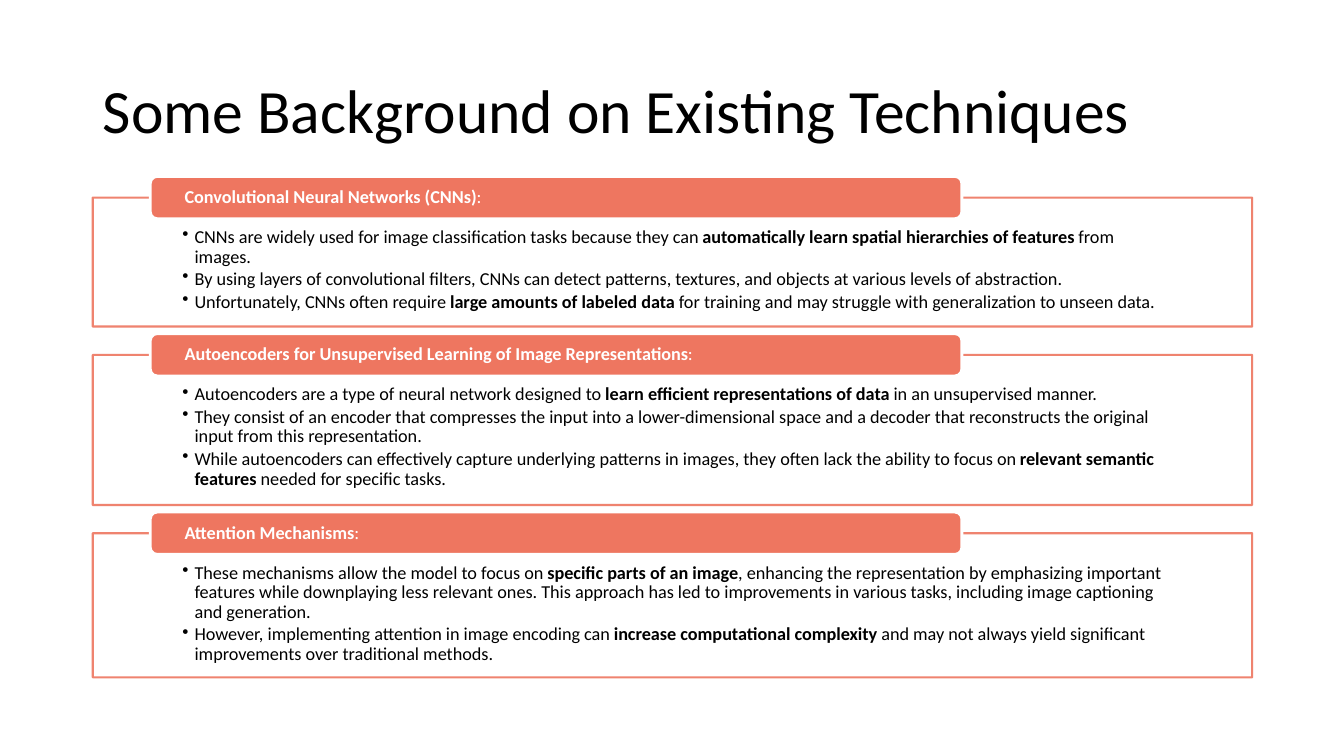
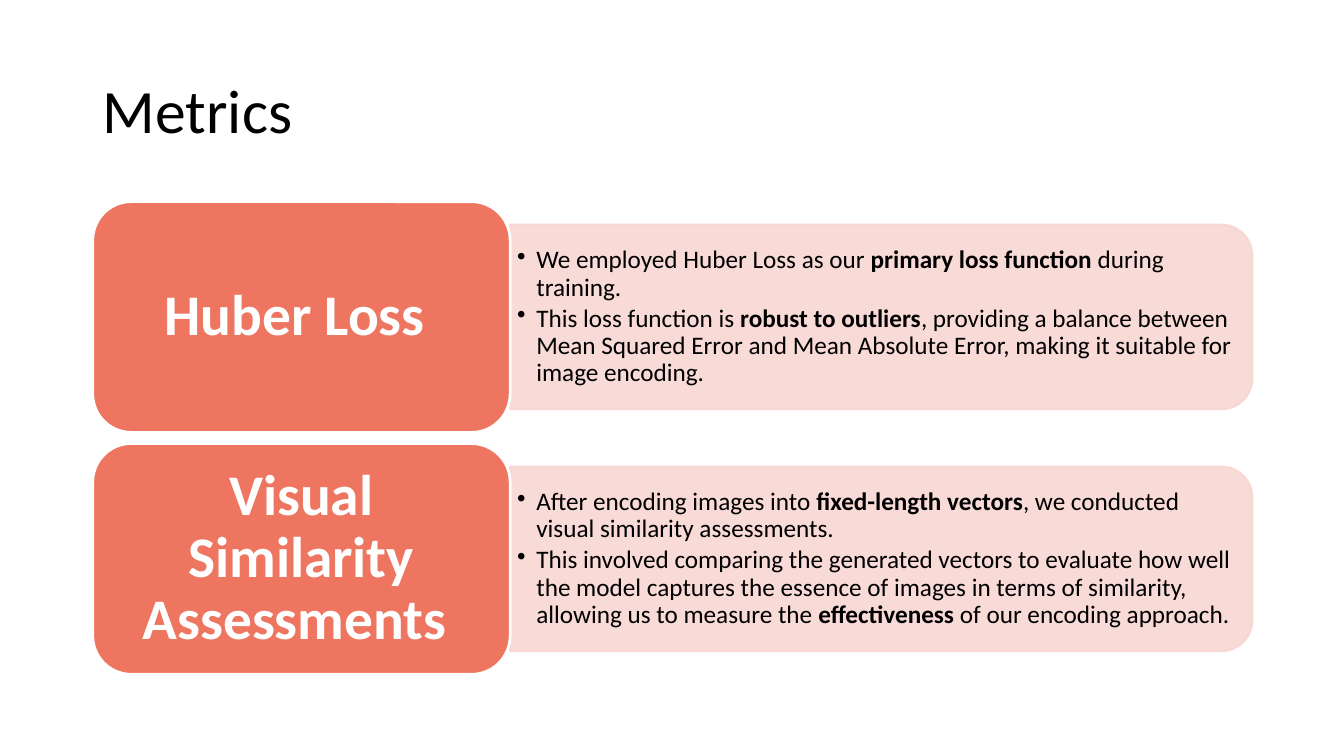
from dataclasses import dataclass

from lxml import etree
from pptx import Presentation
from pptx.dml.color import RGBColor
from pptx.enum.shapes import MSO_SHAPE
from pptx.enum.text import MSO_ANCHOR, MSO_AUTO_SIZE, PP_ALIGN
from pptx.oxml.ns import qn
from pptx.util import Inches, Pt

RECTANGLE = MSO_SHAPE.RECTANGLE
ROUNDED = MSO_SHAPE.ROUNDED_RECTANGLE
ROUND_TOP = MSO_SHAPE.ROUND_2_SAME_RECTANGLE
TOP, MIDDLE = MSO_ANCHOR.TOP, MSO_ANCHOR.MIDDLE
LEFT, CENTER = PP_ALIGN.LEFT, PP_ALIGN.CENTER


@dataclass(frozen=True)
class Theme:
    font: str = "Calibri"
    text: RGBColor = RGBColor(0x00, 0x00, 0x00)
    white: RGBColor = RGBColor(0xFF, 0xFF, 0xFF)
    coral: RGBColor = RGBColor(0xEE, 0x76, 0x60)
    blush: RGBColor = RGBColor(0xF8, 0xD6, 0xD2)
    title_size: int = 44
    metric_size: int = 41
    detail_size: int = 18
    panel_size: int = 13
    panel_line: float = 1.5
    label_line: float = 2
    line_spacing: float = 0.9
    bullet_gap: float = 0.15  # share of the type size
    opacity: int = 90  # percent


THEME = Theme()
MARGIN, CONTENT_WIDTH = 0.92, 11.5

# Content: ** marks bold passages
BACKGROUND_TITLE = "Some Background on Existing Techniques"
TECHNIQUES = [  # heading, panel height, bullets
    ("**Convolutional Neural Networks (CNNs)**:", 1.28, [
        "CNNs are widely used for image classification tasks because they can "
        "**automatically learn spatial hierarchies of features **from images.",
        "By using layers of convolutional filters, CNNs can detect patterns, textures, "
        "and objects at various levels of abstraction.",
        "Unfortunately, CNNs often require **large amounts of labeled data **for training "
        "and may struggle with generalization to unseen data.",
    ]),
    ("**Autoencoders for Unsupervised Learning of Image Representations**:", 1.49, [
        "Autoencoders are a type of neural network designed to "
        "**learn efficient representations of data **in an unsupervised manner.",
        "They consist of an encoder that compresses the input into a lower-dimensional "
        "space and a decoder that reconstructs the original input from this representation.",
        "While autoencoders can effectively capture underlying patterns in images, they "
        "often lack the ability to focus on **relevant semantic features** needed for "
        "specific tasks.",
    ]),
    ("**Attention Mechanisms**:", 1.43, [
        "These mechanisms allow the model to focus on **specific parts of an image**, "
        "enhancing the representation by emphasizing important features while downplaying "
        "less relevant ones. This approach has led to improvements in various tasks, "
        "including image captioning and generation.",
        "However, implementing attention in image encoding can **increase computational "
        "complexity **and may not always yield significant improvements over traditional "
        "methods.",
    ]),
]

METRICS_TITLE = "Metrics"
METRICS = [  # name, bullets
    ("**Huber Loss **", [
        "We employed Huber Loss as our **primary loss function **during training.",
        "This loss function is **robust to outliers**, providing a balance between Mean "
        "Squared Error and Mean Absolute Error, making it suitable for image encoding.",
    ]),
    ("**Visual Similarity Assessments **", [
        "After encoding images into **fixed-length vectors**, we conducted visual "
        "similarity assessments.",
        "This involved comparing the generated vectors to evaluate how well the model "
        "captures the essence of images in terms of similarity, allowing us to measure "
        "the **effectiveness **of our encoding approach.",
    ]),
]


def add_box(slide, kind, box, fill, line, line_width):
    shape = slide.shapes.add_shape(kind, *map(Inches, box))
    shape.shadow.inherit = False
    shape.fill.solid()
    shape.fill.fore_color.rgb = fill
    shape.line.color.rgb = line
    shape.line.width = Pt(line_width)
    return shape


def make_translucent(shape):
    for color in shape._element.spPr.iter(qn("a:srgbClr")):
        etree.SubElement(color, qn("a:alpha"), val=str(THEME.opacity * 1000))


def set_bullet(paragraph, indent):
    properties = paragraph._p.get_or_add_pPr()
    properties.set("marL", str(Inches(indent)))
    properties.set("indent", str(-Inches(indent)))
    etree.SubElement(properties, qn("a:buChar"), char="•")


def write(shape, lines, size, color, margins=(0.1, 0.05), anchor=MIDDLE,
          alignment=LEFT, bullet_indent=None):
    """Fill a shape with paragraphs; margins are (sides, top and bottom)."""
    frame = shape.text_frame
    frame.word_wrap = True
    frame.auto_size = MSO_AUTO_SIZE.NONE
    frame.vertical_anchor = anchor
    frame.margin_left = frame.margin_right = Inches(margins[0])
    frame.margin_top = frame.margin_bottom = Inches(margins[1])
    for index, line in enumerate(lines):
        paragraph = frame.add_paragraph() if index else frame.paragraphs[0]
        paragraph.alignment = alignment
        paragraph.line_spacing = THEME.line_spacing
        if bullet_indent:
            paragraph.space_after = Pt(size * THEME.bullet_gap)
            set_bullet(paragraph, bullet_indent)
        paragraph.font.name = THEME.font
        paragraph.font.size = Pt(size)
        paragraph.font.color.rgb = color
        for position, part in enumerate(line.split("**")):
            if part:
                run = paragraph.add_run()
                run.text = part
                run.font.bold = position % 2 == 1


def add_titled_slide(presentation, title):
    slide = presentation.slides.add_slide(presentation.slide_layouts[5])
    shape = slide.shapes.title
    shape.left, shape.top = Inches(MARGIN), Inches(0.4)
    shape.width, shape.height = Inches(CONTENT_WIDTH), Inches(1.45)
    write(shape, [title], THEME.title_size, THEME.text)
    return slide


def add_label(slide, box, text, size, **options):
    label = add_box(slide, ROUNDED, box, THEME.coral, THEME.white, THEME.label_line)
    write(label, [text], size, THEME.white, **options)


def build_background(presentation):
    slide = add_titled_slide(presentation, BACKGROUND_TITLE)
    top, gap, label_rise = 1.96, 0.28, 0.21
    for heading, height, bullets in TECHNIQUES:
        # Outlined panel with its heading on the top edge
        panel = add_box(slide, RECTANGLE, (MARGIN, top, CONTENT_WIDTH, height),
                        THEME.white, THEME.coral, THEME.panel_line)
        make_translucent(panel)
        write(panel, bullets, THEME.panel_size, THEME.text, margins=(0.89, 0.1),
              anchor=TOP, bullet_indent=0.12)
        panel.text_frame.margin_top = Inches(0.3)
        add_label(slide, (1.49, top - label_rise, 8.05, 2 * label_rise), heading,
                  THEME.panel_size, margins=(0.32, 0))
        top += height + gap


def build_metrics(presentation):
    slide = add_titled_slide(presentation, METRICS_TITLE)
    first_top, pitch = 2, 2.4
    name_width, name_height = 4.14, 2.29
    detail_left, detail_height = MARGIN + name_width, 1.83
    detail_width = CONTENT_WIDTH - name_width
    for index, (name, bullets) in enumerate(METRICS):
        top = first_top + index * pitch
        middle = top + name_height / 2
        # Detail band: a quarter turn puts its rounded end on the right
        band = add_box(slide, ROUND_TOP,
                       (detail_left + (detail_width - detail_height) / 2,
                        middle - detail_width / 2, detail_height, detail_width),
                       THEME.blush, THEME.blush, THEME.panel_line)
        band.rotation = 90
        make_translucent(band)
        # Upright text over the band
        detail = slide.shapes.add_textbox(*map(Inches, (
            detail_left, middle - detail_height / 2, detail_width - 0.09, detail_height)))
        write(detail, bullets, THEME.detail_size, THEME.text, margins=(0.07, 0.04),
              bullet_indent=0.19)
        # Metric name
        add_label(slide, (MARGIN, top, name_width, name_height), name,
                  THEME.metric_size, margins=(0.28, 0.2), alignment=CENTER)


def main():
    presentation = Presentation()
    presentation.slide_width = Inches(13.33)
    presentation.slide_height = Inches(7.5)
    build_background(presentation)
    build_metrics(presentation)
    presentation.save("out.pptx")


if __name__ == "__main__":
    main()
